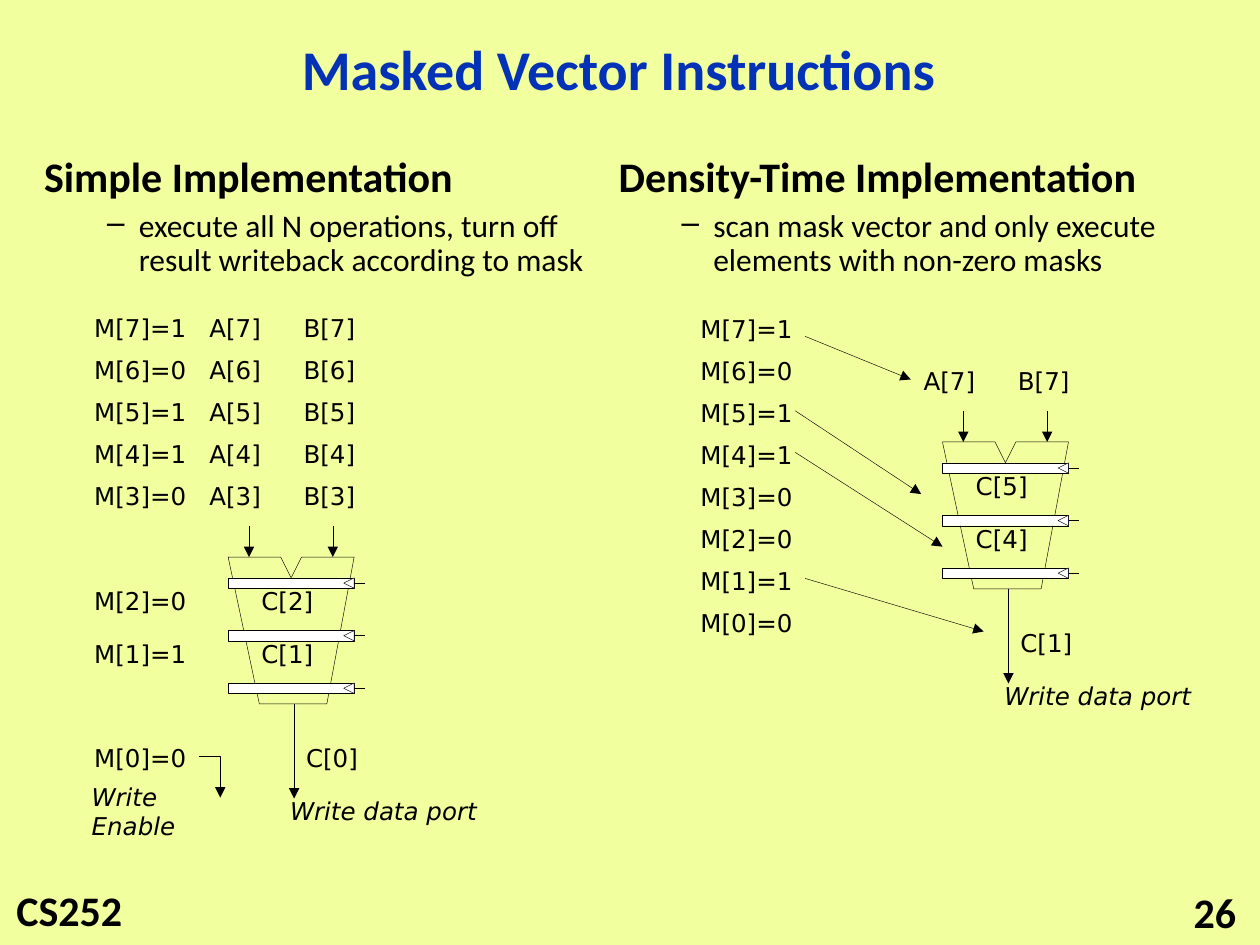
from dataclasses import dataclass

from lxml.etree import SubElement
from pptx import Presentation
from pptx.dml.color import RGBColor
from pptx.enum.shapes import MSO_CONNECTOR as Connector, MSO_SHAPE as Shape
from pptx.enum.text import MSO_ANCHOR as Anchor, MSO_AUTO_SIZE as AutoSize, PP_ALIGN as Align
from pptx.oxml.ns import qn
from pptx.util import Cm, Pt


@dataclass(frozen=True)
class Theme:
    paper: RGBColor = RGBColor(0xF1, 0xFF, 0x9E)
    ink: RGBColor = RGBColor(0, 0, 0)
    title: RGBColor = RGBColor(0x03, 0x32, 0xB7)
    latch: RGBColor = RGBColor(0xFF, 0xFF, 0xFF)
    text_font: str = "Calibri"
    label_font: str = "DejaVu Sans"
    title_size: int = 32
    heading_size: int = 24
    body_size: int = 18
    label_size: int = 14
    line_width: float = 0.25


THEME = Theme()
ROW_STEP = 0.847
LATCH = 0.21
UNIT_WIDTH = 2.54
UNIT_HEIGHT = 2.96
UNIT_OUTLINE = [(0, 0), (0.63, UNIT_HEIGHT), (1.99, UNIT_HEIGHT), (UNIT_WIDTH, 0),
                (1.48, 0), (1.27, 0.42), (1.06, 0)]
LATCH_ROWS = [0.42, 1.48, 2.54]
STAGE_ROWS = [0.46, 1.52]
OPERAND_ROW = -1.65
RESULT_ROW = 3.63
PORT_ROW = 4.7
OPERAND_WIDTH, MASK_WIDTH, ENABLE_WIDTH, PORT_WIDTH = 1.62, 2.41, 3.66, 4.29


def style(paragraph, size, font=THEME.text_font, color=THEME.ink, bold=False, italic=False):
    paragraph.font.name = font
    paragraph.font.size = Pt(size)
    paragraph.font.color.rgb = color
    paragraph.font.bold = bold
    paragraph.font.italic = italic


def add_text(shapes, left, top, width, height, wrap=False):
    frame = shapes.add_textbox(Cm(left), Cm(top), Cm(width), Cm(height)).text_frame
    frame.word_wrap = wrap
    frame.vertical_anchor = Anchor.MIDDLE
    return frame


def add_label(shapes, text, left, top, width, italic=False):
    frame = add_text(shapes, left, top, width, 0.84)
    frame.auto_size = AutoSize.SHAPE_TO_FIT_TEXT
    frame.text = text
    style(frame.paragraphs[0], THEME.label_size, THEME.label_font, italic=italic)


def outline(shape, fill=None):
    shape.shadow.inherit = False
    shape.line.color.rgb = THEME.ink
    shape.line.width = Pt(THEME.line_width)
    if fill is None:
        shape.fill.background()
    else:
        shape.fill.solid()
        shape.fill.fore_color.rgb = fill


def add_arrowhead(line):
    SubElement(line.line._get_or_add_ln(), qn("a:tailEnd"), type="triangle")


def add_line(shapes, start, end, arrow=True):
    ends = [Cm(value) for value in (*start, *end)]
    line = shapes.add_connector(Connector.STRAIGHT, *ends)
    line.line.color.rgb = THEME.ink
    line.line.width = Pt(THEME.line_width)
    if arrow:
        add_arrowhead(line)
    SubElement(line._element.spPr, qn("a:effectLst"))


def add_outline(shapes, points, fill=None, close=True):
    first, *rest = [(Cm(x), Cm(y)) for x, y in points]
    builder = shapes.build_freeform(*first)
    builder.add_line_segments(rest, close=close)
    shape = builder.convert_to_shape()
    outline(shape, fill)
    return shape


def add_latch(shapes, left, top):
    right, middle, bottom = left + UNIT_WIDTH, top + LATCH / 2, top + LATCH
    bar = shapes.add_shape(Shape.RECTANGLE, Cm(left), Cm(top), Cm(UNIT_WIDTH), Cm(LATCH))
    outline(bar, THEME.latch)
    clock = [(right, bottom), (right - LATCH, middle), (right, top)]
    add_outline(shapes, clock, THEME.latch)
    add_line(shapes, (right, middle), (right + LATCH, middle), arrow=False)


def add_pipeline(shapes, left, top, operands, stages, result):
    add_outline(shapes, [(left + x, top + y) for x, y in UNIT_OUTLINE])
    for row in LATCH_ROWS:
        add_latch(shapes, left, top + row)
    for stage, row in zip(stages, STAGE_ROWS):
        add_label(shapes, f"C[{stage}]", left + 0.42, top + row, OPERAND_WIDTH)
    add_label(shapes, f"C[{result}]", left + 1.32, top + RESULT_ROW, OPERAND_WIDTH)
    add_label(shapes, "Write data port", left + 1, top + PORT_ROW, PORT_WIDTH, italic=True)
    add_line(shapes, (left + 1.33, top + UNIT_HEIGHT), (left + 1.33, top + 4.87))
    for x in (0.42, 2.11):
        add_line(shapes, (left + x, top - 0.63), (left + x, top))
    for step, index in enumerate(operands):
        row = top + OPERAND_ROW - step * ROW_STEP
        for name, x in (("A", -0.63), ("B", 1.27)):
            add_label(shapes, f"{name}[{index}]", left + x, row, OPERAND_WIDTH)


def add_mask(shapes, index, bits, left, top):
    add_label(shapes, f"M[{index}]={bits[index]}", left, top, MASK_WIDTH)


def add_summary(shapes, left, width, heading, detail):
    frame = add_text(shapes, left, 2.97, width, 2.82, wrap=True)
    frame.text = f"{heading}\n{detail}"
    head, body = frame.paragraphs
    style(head, THEME.heading_size, bold=True)
    style(body, THEME.body_size)
    body.level = 1
    for paragraph, margin, hang, gap in ((head, 0.79, 0.79, 7), (body, 1.91, 0.64, 5.4)):
        paragraph.line_spacing = 0.9
        paragraph.space_before = Pt(gap)
        properties = paragraph._p.get_or_add_pPr()
        properties.set("marL", str(Cm(margin)))
        properties.set("indent", str(-Cm(hang)))
    bullet = body._p.pPr.makeelement(qn("a:buChar"), {"char": "–"})
    body._p.pPr.find(qn("a:defRPr")).addprevious(bullet)


def add_simple(shapes, bits):
    left, top, mask_left = 4.6, 11.23, 1.65
    waiting = range(3, 8)
    add_pipeline(shapes, left, top, waiting, (2, 1), 0)
    for step, index in enumerate(waiting):
        add_mask(shapes, index, bits, mask_left, top + OPERAND_ROW - step * ROW_STEP)
    for index, row in zip((2, 1, 0), (*STAGE_ROWS, RESULT_ROW)):
        add_mask(shapes, index, bits, mask_left, top + row)
    enable = [(4.01, 15.24), (4.44, 15.24), (4.44, 16.08)]
    add_arrowhead(add_outline(shapes, enable, close=False))
    add_label(shapes, "Write Enable", 1.6, top + PORT_ROW, ENABLE_WIDTH, italic=True)
    add_summary(shapes, 0.64, 12.27, "Simple Implementation",
                "execute all N operations, turn off result writeback according to mask")


def add_density_time(shapes, bits):
    add_pipeline(shapes, 19, 8.91, [7], (5, 4), 1)
    for step, index in enumerate(reversed(range(8))):
        add_mask(shapes, index, bits, 13.87, 6.2 + step * ROW_STEP)
    for start, end in (((16.23, 11.66), (19.83, 12.73)), ((16.03, 9.12), (19, 11.02)),
                       ((16.03, 8.28), (18.57, 9.96)), ((16.23, 6.78), (18.36, 7.65))):
        add_line(shapes, start, end)
    add_summary(shapes, 12.22, 13.13, "Density-Time Implementation",
                "scan mask vector and only execute elements with non-zero masks")


def add_title(slide, text):
    title = slide.shapes.title
    title.left, title.top, title.width, title.height = Cm(2.34), Cm(0.43), Cm(20.27), Cm(2.06)
    title.text_frame.text = text
    title.text_frame.vertical_anchor = Anchor.MIDDLE
    paragraph = title.text_frame.paragraphs[0]
    paragraph.alignment = Align.CENTER
    paragraph.line_spacing = 0.9
    style(paragraph, THEME.title_size, color=THEME.title, bold=True)


def add_footer(shapes, text, left, top, width, height, alignment):
    frame = add_text(shapes, left, top, width, height, wrap=True)
    frame.text = text
    frame.paragraphs[0].alignment = alignment
    style(frame.paragraphs[0], THEME.heading_size, bold=True)


def main():
    deck = Presentation()
    deck.slide_width, deck.slide_height = Cm(25.4), Cm(19.05)
    slide = deck.slides.add_slide(deck.slide_layouts[5])
    slide.background.fill.solid()
    slide.background.fill.fore_color.rgb = THEME.paper
    add_title(slide, "Masked Vector Instructions")
    add_footer(slide.shapes, "CS252", 0.08, 17.7, 2.67, 1.27, Align.LEFT)
    add_footer(slide.shapes, "26", 19.89, 17.98, 5.28, 0.81, Align.RIGHT)
    mask_bits = [0, 1, 0, 0, 1, 1, 0, 1]
    for add_panel in (add_density_time, add_simple):
        add_panel(slide.shapes.add_group_shape().shapes, mask_bits)
    deck.save("out.pptx")


if __name__ == "__main__":
    main()
